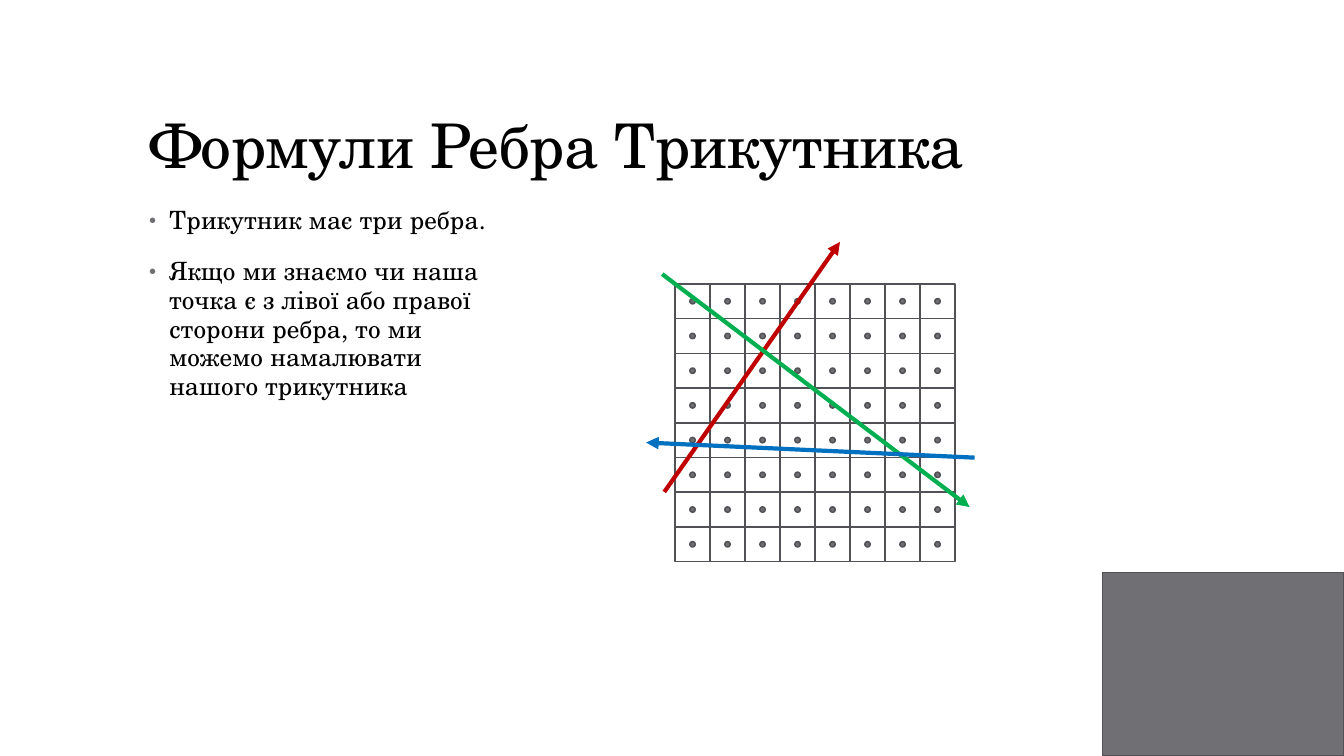
from dataclasses import dataclass
from itertools import product
from typing import Optional

from lxml.etree import SubElement
from pptx import Presentation
from pptx.dml.color import RGBColor
from pptx.enum.shapes import MSO_CONNECTOR as CONN, MSO_SHAPE as SHAPE
from pptx.enum.text import MSO_ANCHOR as ANCHOR
from pptx.oxml.ns import qn
from pptx.slide import Slide
from pptx.util import Pt

COLORS = {
    "text": "000000",
    "gray": "6F6F74",
    "outline": "525256",
    "red": "C00000",
    "green": "00B050",
    "blue": "0070C0",
}
FONT = "TeX Gyre Schola"

GRID_SIZE = 8
GRID_LEFT, GRID_TOP = 482.2, 202.8
CELL_W, CELL_H = 25, 24.8
DOT = 3.8


@dataclass(frozen=True)
class Box:
    left: float
    top: float
    width: float
    height: float


@dataclass(frozen=True)
class Edge:
    x1: float
    y1: float
    x2: float
    y2: float
    color: str


EDGES = [
    Edge(474.5, 351.4, 600, 172.8, "red"),
    Edge(473, 195.8, 692.6, 362.2, "green"),
    Edge(696.2, 326.9, 461.5, 316.1, "blue"),
]


def rgb(name: str) -> RGBColor:
    return RGBColor.from_string(COLORS[name])


def add_text(s: Slide, box: Box, texts: list[str], *, size: float,
             line_spacing: float, tracking: int, anchor: ANCHOR = ANCHOR.TOP,
             before: float = 0, after: float = 0, bullet: str = "") -> None:
    sp = s.shapes.add_textbox(Pt(box.left), Pt(box.top), Pt(box.width), Pt(box.height))
    tf = sp.text_frame
    tf.word_wrap = True
    tf.vertical_anchor = anchor
    for i, text in enumerate(texts):
        p = tf.paragraphs[0] if i == 0 else tf.add_paragraph()
        p.line_spacing = line_spacing
        p.space_before = Pt(before if i else 0)
        p.space_after = Pt(after)
        if bullet:
            pPr = p._p.get_or_add_pPr()
            pPr.set("marL", str(Pt(14.4)))
            pPr.set("indent", str(-Pt(14.4)))
            clr = SubElement(pPr, qn("a:buClr"))
            SubElement(clr, qn("a:srgbClr"), val=COLORS["gray"])
            SubElement(pPr, qn("a:buSzPct"), val="80000")
            SubElement(pPr, qn("a:buFont"), typeface="Arial")
            SubElement(pPr, qn("a:buChar"), char=bullet)
        r = p.add_run()
        r.text = text
        r.font.name = FONT
        r.font.size = Pt(size)
        r.font.color.rgb = rgb("text")
        r._r.get_or_add_rPr().set("spc", str(tracking))


def add_outlined(s: Slide, kind: SHAPE, box: Box, fill: Optional[str] = None) -> None:
    sp = s.shapes.add_shape(kind, Pt(box.left), Pt(box.top), Pt(box.width), Pt(box.height))
    sp.shadow.inherit = False
    if fill:
        sp.fill.solid()
        sp.fill.fore_color.rgb = rgb(fill)
    else:
        sp.fill.background()
    sp.line.color.rgb = rgb("outline")
    sp.line.width = Pt(1.1)


def add_grid(s: Slide) -> None:
    for row, col in product(range(GRID_SIZE), repeat=2):
        x, y = GRID_LEFT + col * CELL_W, GRID_TOP + row * CELL_H
        add_outlined(s, SHAPE.RECTANGLE, Box(x, y, CELL_W, CELL_H))
        dot = Box(x + (CELL_W - DOT) / 2, y + (CELL_H - DOT) / 2, DOT, DOT)
        add_outlined(s, SHAPE.OVAL, dot, "gray")


def add_edge(s: Slide, edge: Edge) -> None:
    c = s.shapes.add_connector(CONN.STRAIGHT, Pt(edge.x1), Pt(edge.y1),
                               Pt(edge.x2), Pt(edge.y2))
    c.line.color.rgb = rgb(edge.color)
    c.line.width = Pt(3)
    SubElement(c.line._get_or_add_ln(), qn("a:tailEnd"), type="triangle")
    SubElement(c._element.spPr, qn("a:effectLst"))


def main() -> None:
    prs = Presentation()
    prs.slide_width, prs.slide_height = Pt(960), Pt(540)
    s = prs.slides.add_slide(prs.slide_layouts[6])
    add_outlined(s, SHAPE.RECTANGLE, Box(787.5, 409, 172.5, 131), "gray")
    add_text(s, Box(99.4, 28.8, 763.2, 104.4), ["Формули Ребра Трикутника"],
             size=44, line_spacing=0.9, tracking=-50, anchor=ANCHOR.BOTTOM)
    add_text(s, Box(99.4, 144, 267.8, 342.7),
             ["Трикутник має три ребра.",
              "Якщо ми знаємо чи наша точка є з лівої або правої сторони ребра, "
              "то ми можемо намалювати нашого трикутника"],
             size=18, line_spacing=0.95, tracking=10, before=14, after=2, bullet="•")
    add_grid(s)
    for edge in EDGES:
        add_edge(s, edge)
    prs.save("out.pptx")


if __name__ == "__main__":
    main()
